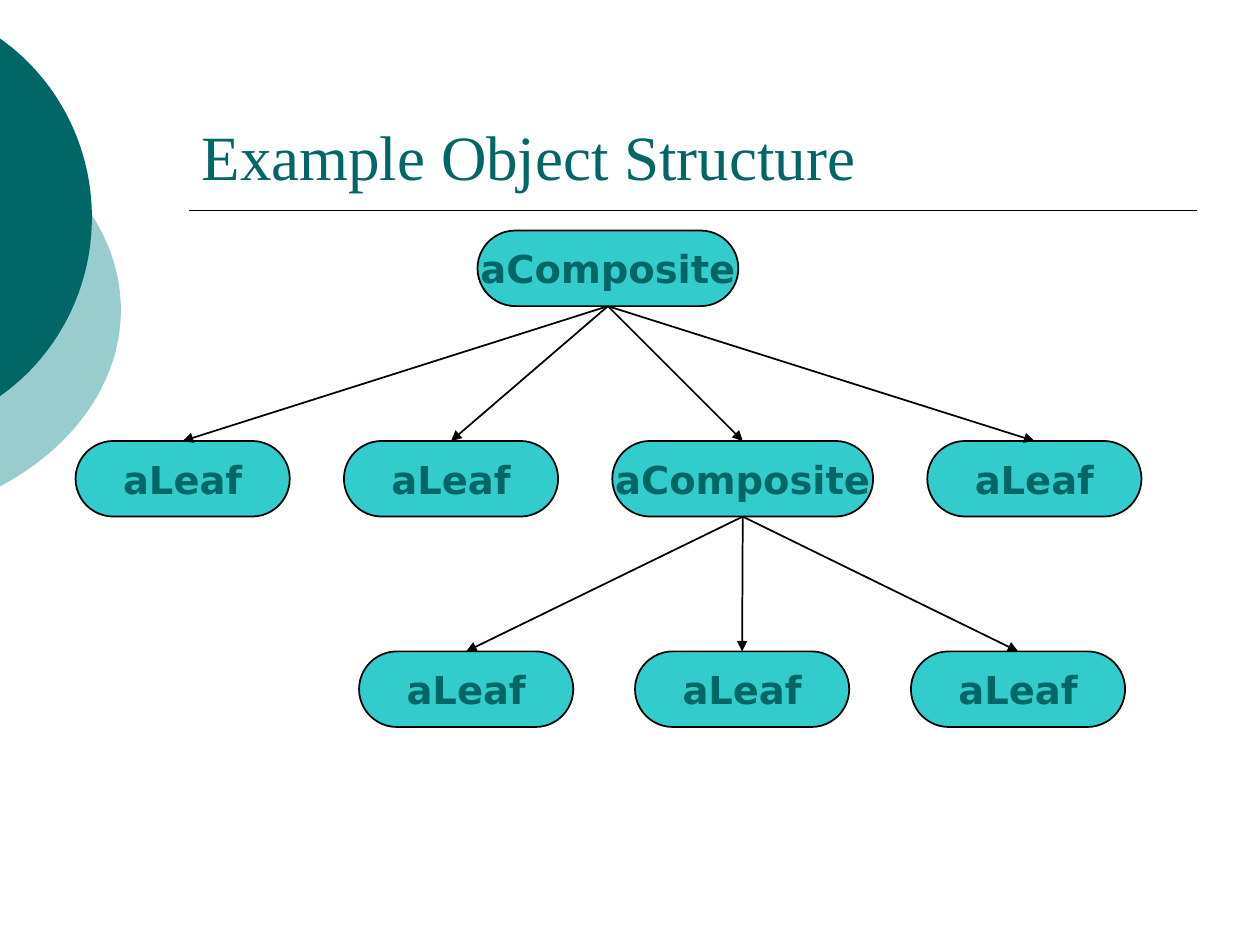
"""Build the slide that shows an example tree of composite and leaf objects."""
import math
from dataclasses import dataclass

import pptx
import pptx.dml.color
import pptx.enum.shapes
import pptx.enum.text
import pptx.oxml
import pptx.oxml.ns
import pptx.shapes.autoshape
import pptx.shapes.connector
import pptx.slide
import pptx.util

TEAL = pptx.dml.color.RGBColor(0x00, 0x66, 0x66)
PALE_TEAL = pptx.dml.color.RGBColor(0x99, 0xCC, 0xCC)
TURQUOISE = pptx.dml.color.RGBColor(0x33, 0xCC, 0xCC)
BLACK = pptx.dml.color.RGBColor(0x00, 0x00, 0x00)

SLIDE_W = pptx.util.Inches(10)
SLIDE_H = pptx.util.Inches(7.5)
COLUMNS, ROWS = 100, 75
NODE_H = 6
LEVEL_TOP, LEVEL_STEP = 18.3, 16.7
NODE_W = {"aComposite": 20.7, "aLeaf": 17}


@dataclass(frozen=True)
class Disc:
    cx: float
    cy: float
    rx: float
    ry: float
    color: pptx.dml.color.RGBColor


@dataclass(frozen=True)
class Level:
    left: float
    gap: float
    names: tuple[str, ...]
    parent: int = 0


DISCS = (
    Disc(-12.9, 24.6, 22.5, 17.1, PALE_TEAL),
    Disc(-9.6, 17.25, 16.9, 17.25, TEAL),
)
LEVELS = (
    Level(37.9, 0, ("aComposite",)),
    Level(6, 4.3, ("aLeaf", "aLeaf", "aComposite", "aLeaf")),
    Level(28.5, 4.9, ("aLeaf",) * 3, parent=2),
)


def col(n: float) -> int:
    return round(SLIDE_W * n / COLUMNS)


def row(n: float) -> int:
    return round(SLIDE_H * n / ROWS)


def add_disc(s: pptx.slide.Slide, disc: Disc, steps: int = 60) -> None:
    half = math.acos(-disc.cx / disc.rx)
    angles = [half * (2 * i / steps - 1) for i in range(steps + 1)]
    points = [
        (col(disc.cx + disc.rx * math.cos(a)), row(disc.cy + disc.ry * math.sin(a)))
        for a in angles
    ]
    builder = s.shapes.build_freeform(*points[0])
    builder.add_line_segments(points[1:], close=True)
    sp = builder.convert_to_shape()
    sp.shadow.inherit = False
    sp.fill.solid()
    sp.fill.fore_color.rgb = disc.color
    sp.line.fill.background()


def add_line(s: pptx.slide.Slide, *ends: int) -> pptx.shapes.connector.Connector:
    line = s.shapes.add_connector(pptx.enum.shapes.MSO_CONNECTOR.STRAIGHT, *ends)
    line.line.color.rgb = BLACK
    line.line.width = pptx.util.Pt(1)
    pptx.oxml.ns.qn("a:effectLst")
    line._element.spPr.append(
        pptx.oxml.parse_xml(f"<a:effectLst {pptx.oxml.ns.nsdecls('a')}/>")
    )
    return line


def add_arrow(
    s: pptx.slide.Slide,
    parent: pptx.shapes.autoshape.Shape,
    child: pptx.shapes.autoshape.Shape,
) -> None:
    arrow = add_line(s, 0, 0, 0, 0)
    arrow.begin_connect(parent, 2)
    arrow.end_connect(child, 0)
    arrow.line._get_or_add_ln().append(
        pptx.oxml.parse_xml(
            f"<a:tailEnd {pptx.oxml.ns.nsdecls('a')} type='triangle'/>"
        )
    )


def add_node(
    s: pptx.slide.Slide, name: str, left: float, top: float
) -> pptx.shapes.autoshape.Shape:
    sp = s.shapes.add_shape(
        pptx.enum.shapes.MSO_SHAPE.ROUNDED_RECTANGLE,
        col(left), row(top), col(NODE_W[name]), row(NODE_H),
    )
    sp.adjustments[0] = 0.5
    sp.shadow.inherit = False
    sp.fill.solid()
    sp.fill.fore_color.rgb = TURQUOISE
    sp.line.color.rgb = BLACK
    sp.line.width = pptx.util.Pt(1)
    tf = sp.text_frame
    tf.word_wrap = False
    tf.vertical_anchor = pptx.enum.text.MSO_ANCHOR.MIDDLE
    p = tf.paragraphs[0]
    p.text = name
    p.alignment = pptx.enum.text.PP_ALIGN.CENTER
    p.font.name = "DejaVu Sans"
    p.font.size = pptx.util.Pt(22)
    p.font.bold = True
    p.font.color.rgb = TEAL
    return sp


def add_level(
    s: pptx.slide.Slide, level: Level, top: float
) -> list[pptx.shapes.autoshape.Shape]:
    nodes, left = [], level.left
    for name in level.names:
        nodes.append(add_node(s, name, left, top))
        left += NODE_W[name] + level.gap
    return nodes


def set_title(s: pptx.slide.Slide, text: str) -> None:
    title = s.shapes.title
    title.left, title.top = col(15), row(3.3)
    title.width, title.height = col(80), row(12.5)
    tf = title.text_frame
    tf.auto_size = pptx.enum.text.MSO_AUTO_SIZE.NONE
    tf.vertical_anchor = pptx.enum.text.MSO_ANCHOR.BOTTOM
    p = tf.paragraphs[0]
    p.text = text
    p.alignment = pptx.enum.text.PP_ALIGN.LEFT
    p.font.name = "Times New Roman"
    p.font.size = pptx.util.Pt(36)
    p.font.color.rgb = TEAL


def main() -> None:
    prs = pptx.Presentation()
    prs.slide_width, prs.slide_height = SLIDE_W, SLIDE_H
    s = prs.slides.add_slide(prs.slide_layouts.get_by_name("Title Only"))
    for disc in DISCS:
        add_disc(s, disc)
    add_line(s, col(15), row(16.7), col(95), row(16.7))
    set_title(s, "Example Object Structure")
    tree = [
        add_level(s, level, LEVEL_TOP + i * LEVEL_STEP)
        for i, level in enumerate(LEVELS)
    ]
    for level, parents, children in zip(LEVELS[1:], tree, tree[1:]):
        for child in children:
            add_arrow(s, parents[level.parent], child)
    prs.save("out.pptx")


if __name__ == "__main__":
    main()
